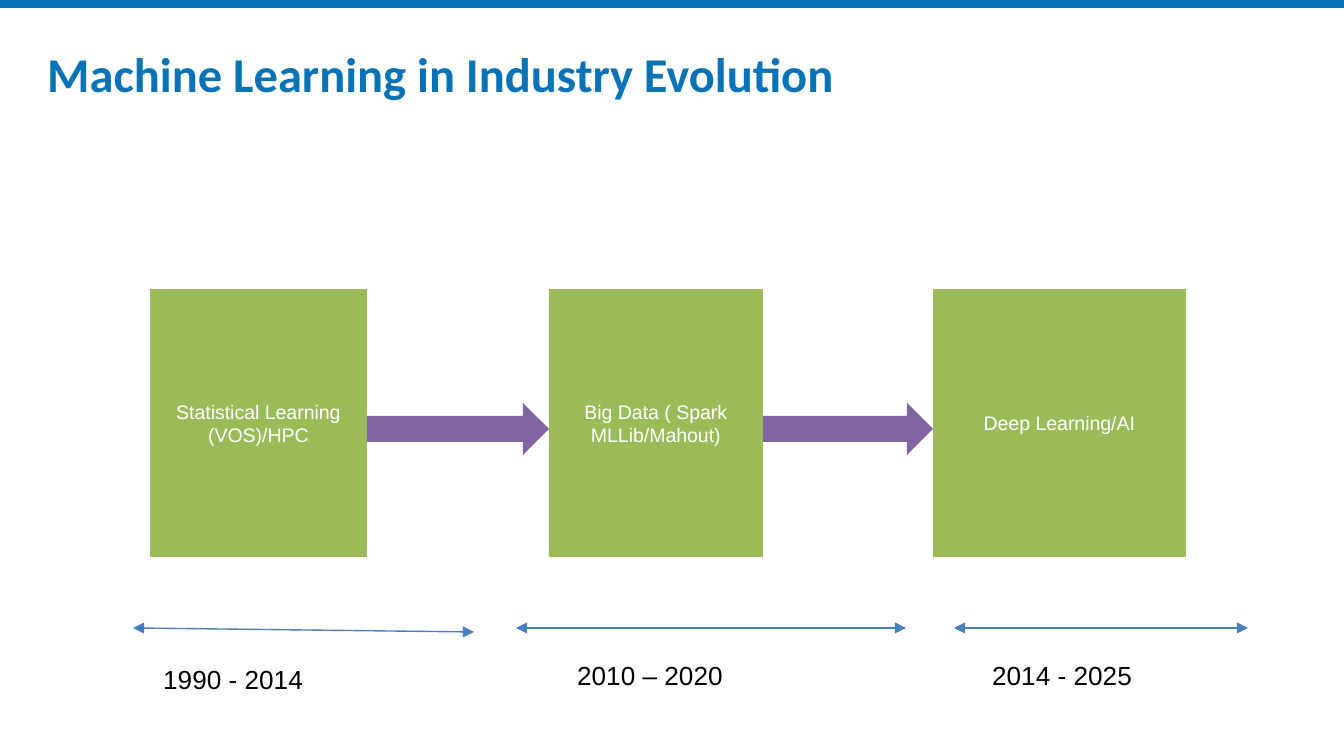
from dataclasses import dataclass

import lxml.etree
import pptx
import pptx.dml.color
import pptx.enum.shapes
import pptx.enum.text
import pptx.oxml.ns
import pptx.util

EMU_PER_INCH = 914400
PX_PER_INCH = 134.4
SLIDE_WIDTH, SLIDE_HEIGHT = 1344, 756

Shape = pptx.enum.shapes.MSO_SHAPE
Anchor = pptx.enum.text.MSO_ANCHOR
Align = pptx.enum.text.PP_ALIGN


@dataclass(frozen=True)
class Theme:
    accent: str = "0773B6"
    stage: str = "9BBB59"
    stage_text: str = "FFFFFF"
    step: str = "8064A2"
    span: str = "4B7EBC"
    period: str = "000000"
    title_font: str = "Calibri"
    body_font: str = "Arial"
    title_size: float = 26
    stage_size: float = 10.5
    period_size: float = 14
    span_width: float = 0.75


THEME = Theme()

STAGE_TOP, STAGE_HEIGHT = 289, 268
STEP_TOP, STEP_HEIGHT = 403, 52
# left, width, label
STAGES = [
    (150, 217, "Statistical Learning (VOS)/HPC"),
    (549, 214, "Big Data ( Spark MLLib/Mahout)"),
    (933, 253, "Deep Learning/AI"),
]
# span start, span end, label corner, label
PERIODS = [
    ((133, 628), (474, 632), (150, 657), "1990 - 2014"),
    ((516, 628), (906, 628), (564, 653), "2010 – 2020"),
    ((954, 628), (1248, 628), (979, 653), "2014 - 2025"),
]
PERIOD_WIDTH, PERIOD_HEIGHT = 243, 46


def px(length):
    return pptx.util.Emu(round(length * EMU_PER_INCH / PX_PER_INCH))


def rgb(color):
    return pptx.dml.color.RGBColor.from_string(color)


def add_run(paragraph, text, font, size, color, bold=False):
    run = paragraph.add_run()
    run.text = text
    run.font.name = font
    run.font.size = pptx.util.Pt(size)
    run.font.bold = bold
    run.font.color.rgb = rgb(color)


def add_filled(slide, preset, left, top, width, height, color):
    shape = slide.shapes.add_shape(preset, px(left), px(top), px(width), px(height))
    shape.shadow.inherit = False
    shape.fill.solid()
    shape.fill.fore_color.rgb = rgb(color)
    shape.line.fill.background()
    return shape


def add_textbox(slide, left, top, width, height):
    frame = slide.shapes.add_textbox(px(left), px(top), px(width), px(height)).text_frame
    frame.word_wrap = True
    return frame


def add_title(slide, text):
    frame = add_textbox(slide, 34, 31, 1288, 79)
    frame.margin_top = frame.margin_bottom = pptx.util.Inches(0.1)
    add_run(frame.paragraphs[0], text, THEME.title_font, THEME.title_size,
            THEME.accent, bold=True)


def add_stage(slide, left, width, label):
    box = add_filled(slide, Shape.RECTANGLE, left, STAGE_TOP, width, STAGE_HEIGHT,
                     THEME.stage)
    frame = box.text_frame
    frame.word_wrap = True
    frame.vertical_anchor = Anchor.MIDDLE
    paragraph = frame.paragraphs[0]
    paragraph.alignment = Align.CENTER
    add_run(paragraph, label, THEME.body_font, THEME.stage_size, THEME.stage_text)


def add_steps(slide):
    """Fill each gap between neighbouring stages with a block arrow."""
    for (left, width, _), (next_left, _, _) in zip(STAGES, STAGES[1:]):
        start = left + width
        add_filled(slide, Shape.RIGHT_ARROW, start, STEP_TOP, next_left - start,
                   STEP_HEIGHT, THEME.step)


def add_span(slide, start, end):
    """Draw a thin line with an arrowhead at both ends."""
    span = slide.shapes.add_connector(
        pptx.enum.shapes.MSO_CONNECTOR.STRAIGHT, *map(px, start + end))
    span.line.color.rgb = rgb(THEME.span)
    span.line.width = pptx.util.Pt(THEME.span_width)
    qn = pptx.oxml.ns.qn
    outline = span.line._get_or_add_ln()
    for tag in ("a:headEnd", "a:tailEnd"):
        lxml.etree.SubElement(outline, qn(tag), type="triangle")
    lxml.etree.SubElement(span._element.spPr, qn("a:effectLst"))


def add_period(slide, corner, label):
    frame = add_textbox(slide, *corner, PERIOD_WIDTH, PERIOD_HEIGHT)
    add_run(frame.paragraphs[0], label, THEME.body_font, THEME.period_size, THEME.period)


def main():
    deck = pptx.Presentation()
    deck.slide_width, deck.slide_height = px(SLIDE_WIDTH), px(SLIDE_HEIGHT)
    slide = deck.slides.add_slide(deck.slide_layouts[6])

    add_filled(slide, Shape.RECTANGLE, 0, 0, SLIDE_WIDTH, 8, THEME.accent)
    add_title(slide, "Machine Learning in Industry Evolution")
    for stage in STAGES:
        add_stage(slide, *stage)
    add_steps(slide)
    for start, end, corner, label in PERIODS:
        add_span(slide, start, end)
        add_period(slide, corner, label)

    deck.save("out.pptx")


if __name__ == "__main__":
    main()
